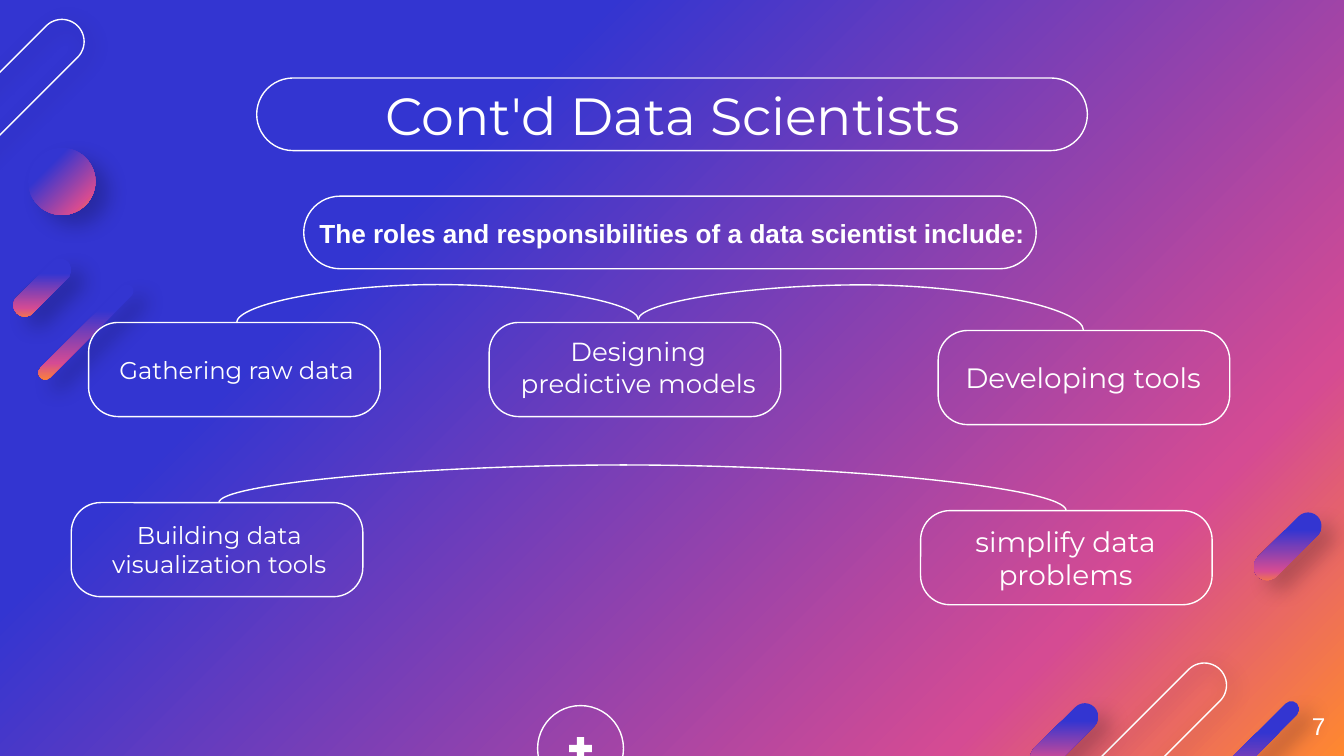
from dataclasses import dataclass

from lxml.etree import SubElement
from pptx import Presentation
from pptx.dml.color import RGBColor
from pptx.enum.shapes import MSO_CONNECTOR, MSO_SHAPE
from pptx.enum.text import MSO_ANCHOR, PP_ALIGN
from pptx.oxml.ns import qn
from pptx.util import Pt


@dataclass(frozen=True)
class Theme:
    white: RGBColor = RGBColor(0xFF, 0xFF, 0xFF)
    stops: tuple = ((0, "3335D1"), (29, "3335D1"), (81, "D54B93"), (100, "FF882F"))
    heading_font: str = "Montserrat"
    body_font: str = "Arial"
    title: int = 28
    large: int = 15
    medium: int = 14
    small: int = 13
    line: float = 0.75


THEME = Theme()
CARD_W, CARD_H = 156.2, 50.4


def fill_gradient(fill, root):
    """Give fill the theme gradient; root is the element that holds it."""
    fill.gradient()
    fill.gradient_angle = 315
    stop_list = next(root.iter(qn("a:gsLst")))
    for stop in list(stop_list):
        stop_list.remove(stop)
    for position, color in THEME.stops:
        stop = SubElement(stop_list, qn("a:gs"), pos=str(position * 1000))
        SubElement(stop, qn("a:srgbClr"), val=color)


def add_shadow(sp, alpha, distance):
    effects = sp.element.spPr.find(qn("a:effectLst"))
    shadow = SubElement(effects, qn("a:outerShdw"), blurRad=str(Pt(11.25)),
                        dist=str(Pt(distance)), dir=str(40 * 60000),
                        algn="bl", rotWithShape="0")
    color = SubElement(shadow, qn("a:srgbClr"), val="000000")
    SubElement(color, qn("a:alpha"), val=str(alpha * 1000))


def add_outline(s, kind, box, adjust=None):
    """Add an unfilled shape with a thin white line."""
    sp = s.shapes.add_shape(kind, *map(Pt, box))
    sp.shadow.inherit = False
    sp.fill.background()
    sp.line.color.rgb = THEME.white
    sp.line.width = Pt(THEME.line)
    if adjust is not None:
        sp.adjustments[0] = adjust
    return sp


def add_text(s, box, text, size, font=THEME.heading_font, bold=False,
             align=PP_ALIGN.CENTER, anchor=MSO_ANCHOR.MIDDLE):
    tf = s.shapes.add_textbox(*map(Pt, box)).text_frame
    tf.word_wrap = True
    tf.vertical_anchor = anchor
    tf.margin_left = tf.margin_right = tf.margin_top = tf.margin_bottom = Pt(7.2)
    p = tf.paragraphs[0]
    p.alignment = align
    r = p.add_run()
    r.text = text
    r.font.size = Pt(size)
    r.font.name = font
    r.font.bold = bold
    r.font.color.rgb = THEME.white


def add_gradient_shape(s, box, kind=MSO_SHAPE.ROUNDED_RECTANGLE):
    sp = add_outline(s, kind, box)
    sp.line.fill.background()
    fill_gradient(sp.fill, sp.element)
    add_shadow(sp, 22, 9)
    if kind == MSO_SHAPE.ROUNDED_RECTANGLE:
        sp.adjustments[0] = 0.5
        sp.rotation = 45


def add_outline_pill(s, left, top):
    sp = add_outline(s, MSO_SHAPE.ROUNDED_RECTANGLE, (left, top, 23.8, 104.4), 0.5)
    sp.rotation = 45
    add_shadow(sp, 40, 3.75)


def add_plus_badge(s, left, top, size):
    add_outline(s, MSO_SHAPE.OVAL, (left, top, size, size))
    plus_size = 16.6
    inset = (size - plus_size) / 2
    plus = add_outline(s, MSO_SHAPE.MATH_PLUS,
                       (left + inset, top + inset, plus_size, plus_size), 0.235)
    plus.line.fill.background()
    plus.fill.solid()
    plus.fill.fore_color.rgb = THEME.white


def add_decoration(s):
    add_gradient_shape(s, (16.6, 134.6, 12.2, 38.9))
    add_gradient_shape(s, (42.5, 143.3, 7.2, 69.1))
    add_gradient_shape(s, (15.1, 79.2, 36, 36), MSO_SHAPE.OVAL)
    add_outline_pill(s, -7.2, -1.4)
    add_outline_pill(s, 604.8, 343.4)
    add_gradient_shape(s, (563, 372.2, 14.4, 45.4))
    add_gradient_shape(s, (661.7, 365, 8.6, 81.4))
    add_plus_badge(s, 288, 378, 46)
    add_gradient_shape(s, (682.6, 270, 14.4, 45.4))


def add_banner(s, box, text_box, text, size, **style):
    """Add a pill with text; text_box is relative to the pill's corner."""
    left, top = box[:2]
    dx, dy, width, height = text_box
    add_outline(s, MSO_SHAPE.ROUNDED_RECTANGLE, box, 0.5)
    add_text(s, (left + dx, top + dy, width, height), text, size, **style)


def add_card(s, left, top, text, size, dx, text_width, dy=0):
    add_outline(s, MSO_SHAPE.ROUNDED_RECTANGLE, (left, top, CARD_W, CARD_H), 0.312)
    add_text(s, (left + dx, top + dy, text_width, CARD_H), text, size)


def add_curve(s, start, end, crest=None, upward=True):
    """Draw a curve that leaves start upward or sideways.

    With a crest it arches over that height, otherwise it is a quarter turn.
    """
    (x1, y1), (x2, y2) = start, end
    width, height = x2 - x1, abs(y2 - y1)
    left, top = x1, min(y1, y2)
    if upward:
        left, top = left + (width - height) / 2, top + (height - width) / 2
        width, height = height, width
    line = s.shapes.add_connector(MSO_CONNECTOR.CURVE, Pt(left), Pt(top),
                                  Pt(left + width), Pt(top + height))
    line.line.color.rgb = THEME.white
    line.line.width = Pt(THEME.line)
    props = line.element.spPr
    SubElement(props, qn("a:effectLst"))
    xfrm = props.find(qn("a:xfrm"))
    geometry = props.find(qn("a:prstGeom"))
    if upward:
        xfrm.set("rot", str(270 * 60000))
        if y2 > y1:
            xfrm.set("flipH", "1")
    if crest is None:
        geometry.set("prst", "curvedConnector2")
    else:
        guides = geometry.find(qn("a:avLst"))
        bend = round((y1 - crest) / (y1 - y2) * 100000)
        SubElement(guides, qn("a:gd"), name="adj1", fmla=f"val {bend}")


def add_role_rows(s):
    middle = (342, 171.2)
    add_curve(s, (126.7, 173), middle, crest=152.6)
    add_curve(s, middle, (580.5, 177.1), crest=152.6)
    add_curve(s, (117.2, 269.3), (336, 249.1))
    add_curve(s, (332, 249.1), (571.2, 273.6), upward=False)
    add_card(s, 47.5, 172.8, "Gathering raw data", THEME.small, 5.8, 146.9)
    add_card(s, 262.1, 172.8, "Designing predictive models", THEME.medium, 0.7, 158.4, -1.4)
    add_card(s, 502.6, 177.1, "Developing tools", THEME.large, -9.4, 174.2)
    add_card(s, 38.2, 269.3, "Building data visualization tools", THEME.small, 5.8, 146.9)
    add_card(s, 493.2, 273.6, "simplify data problems", THEME.large, -9.4, 174.2)


def main():
    prs = Presentation()
    prs.slide_width, prs.slide_height = Pt(720), Pt(405)
    s = prs.slides.add_slide(prs.slide_layouts[6])
    fill_gradient(s.background.fill, s.element)
    add_decoration(s)
    add_banner(s, (137.5, 41.8, 445, 38.9), (18, 1.4, 409.7, 36),
               "Cont'd Data Scientists", THEME.title)
    add_banner(s, (162.7, 105.1, 392.4, 38.9), (-38.9, 4.3, 473, 31.7),
               "The roles and responsibilities of a data scientist include:",
               THEME.medium, font=THEME.body_font, bold=True, anchor=MSO_ANCHOR.TOP)
    add_role_rows(s)
    add_text(s, (673.9, 373.7, 43.2, 31), "7", THEME.small, font=THEME.body_font,
             align=PP_ALIGN.RIGHT, anchor=MSO_ANCHOR.TOP)
    prs.save("out.pptx")


if __name__ == "__main__":
    main()
